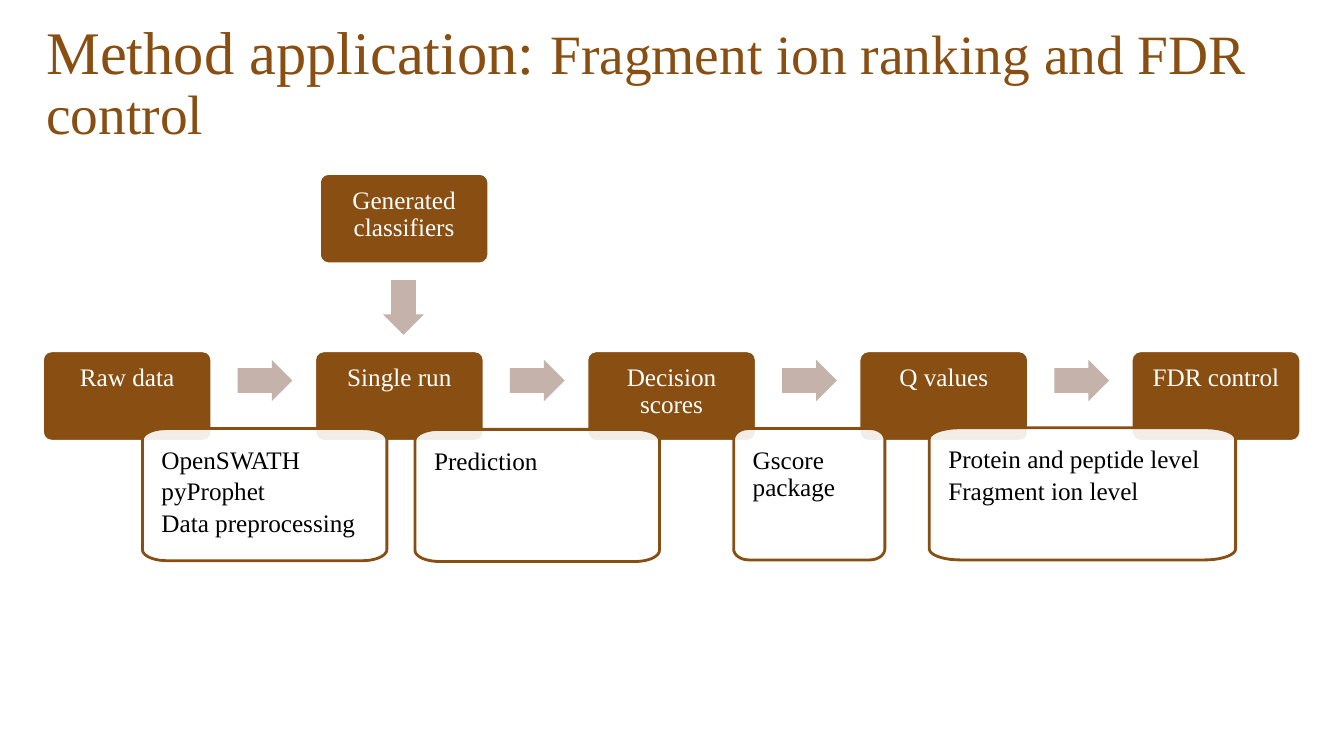
from math import cos, radians, sin

from lxml.etree import SubElement
from pptx import Presentation
from pptx.dml.color import RGBColor
from pptx.enum.shapes import MSO_SHAPE
from pptx.enum.text import MSO_ANCHOR, MSO_AUTO_SIZE, PP_ALIGN
from pptx.oxml.ns import qn
from pptx.util import Cm, Pt

COLORS = {"brown": "894E11", "arrow": "C4B2AB", "white": "FFFFFF", "black": "000000"}


class FlowSlide:
    """Holds the style and the current slide."""

    font = "Times New Roman"
    body_size = 18
    line_width = 2

    def __init__(self, presentation):
        self.slide = presentation.slides.add_slide(presentation.slide_layouts[5])

    def color(self, name):
        return RGBColor.from_string(COLORS[name])

    def format_run(self, run, size, color):
        run.font.name = self.font
        run.font.size = Pt(size)
        run.font.color.rgb = self.color(color)

    def paint(self, shape, fill, line=None):
        shape.shadow.inherit = False
        shape.fill.solid()
        shape.fill.fore_color.rgb = self.color(fill)
        if line:
            shape.line.color.rgb = self.color(line)
            shape.line.width = Pt(self.line_width)
        else:
            shape.line.fill.background()

    def set_frame(self, frame, anchor, margin, bottom):
        frame.word_wrap = True
        frame.auto_size = MSO_AUTO_SIZE.NONE
        frame.vertical_anchor = anchor
        frame.margin_left = frame.margin_right = frame.margin_top = Cm(margin)
        frame.margin_bottom = Cm(bottom)

    def label(self, shape, text, color, align, margin, bottom, space_after):
        frame = shape.text_frame
        self.set_frame(frame, MSO_ANCHOR.TOP, margin, bottom)
        frame.text = text
        for paragraph in frame.paragraphs:
            paragraph.alignment = align
            paragraph.line_spacing = 0.9
            paragraph.space_after = Pt(space_after)
            for run in paragraph.runs:
                self.format_run(run, self.body_size, color)

    def title(self, parts):
        title = self.slide.shapes.title
        title.left, title.top, title.width, title.height = Cm(1.17), Cm(0.46), Cm(31.78), Cm(3.33)
        self.set_frame(title.text_frame, MSO_ANCHOR.MIDDLE, 0, 0)
        paragraph = title.text_frame.paragraphs[0]
        paragraph.alignment = PP_ALIGN.LEFT
        paragraph.line_spacing = 0.9
        for text, size in parts:
            run = paragraph.add_run()
            run.text = text
            self.format_run(run, size, "brown")

    def step(self, left, top, text):
        shape = self.slide.shapes.add_shape(
            MSO_SHAPE.ROUNDED_RECTANGLE, Cm(left), Cm(top), Cm(4.27), Cm(2.28))
        shape.adjustments[0] = 0.1
        self.paint(shape, "brown", "white")
        self.label(shape, text, "white", PP_ALIGN.CENTER, 0.29, 0.87, 6)

    def arrow(self, kind, left, top, width, height):
        shape = self.slide.shapes.add_shape(kind, Cm(left), Cm(top), Cm(width), Cm(height))
        shape.adjustments[0] = 0.6
        shape.adjustments[1] = 0.5
        self.paint(shape, "arrow")

    def note(self, left, top, width, height, text):
        # Elliptical corners: radii follow the width and the height separately
        radius_x, radius_y = width * 0.1, height * 0.084
        corners = [
            (left + width - radius_x, top + height - radius_y, 0),
            (left + radius_x, top + height - radius_y, 90),
            (left + radius_x, top + radius_y, 180),
            (left + width - radius_x, top + radius_y, 270),
        ]
        points = [
            (Cm(x + radius_x * cos(radians(start + turn))),
             Cm(y + radius_y * sin(radians(start + turn))))
            for x, y, start in corners for turn in range(0, 91, 9)
        ]
        builder = self.slide.shapes.build_freeform(*points[0])
        builder.add_line_segments(points[1:], close=True)
        shape = builder.convert_to_shape()
        self.paint(shape, "white", "brown")
        fill_color = shape.element.spPr.find(qn("a:solidFill"))[0]
        SubElement(fill_color, qn("a:alpha"), val="90000")
        self.label(shape, text, "black", PP_ALIGN.LEFT, 0.48, 0.48, 3)


def main():
    presentation = Presentation()
    presentation.slide_width, presentation.slide_height = Cm(33.87), Cm(19.05)
    flow = FlowSlide(presentation)
    flow.title([("Method application: ", 43.2),
                ("Fragment ion ranking and FDR control", 39.6)])

    # Main row of steps with arrows between them
    steps = ["Raw data", "Single run", "Decision scores", "Q values", "FDR control"]
    first_left, pitch = 1.07, 6.86
    for index, text in enumerate(steps):
        left = first_left + index * pitch
        if index:
            flow.arrow(MSO_SHAPE.RIGHT_ARROW, left - 1.94, 9.07, 1.38, 1.04)
        flow.step(left, 8.84, text)

    # Classifiers feeding the single run
    flow.step(8.05, 4.37, "Generated classifiers")
    flow.arrow(MSO_SHAPE.DOWN_ARROW, 9.65, 7.06, 1.04, 1.38)

    # Notes overlapping the steps
    notes = [
        (18.49, 10.8, 3.81, 3.31, "Gscore package"),
        (23.42, 10.78, 7.72, 3.33, "Protein and peptide level\nFragment ion level"),
        (3.59, 10.8, 6.16, 3.33, "OpenSWATH\npyProphet\nData preprocessing"),
        (10.46, 10.82, 6.16, 3.33, "Prediction"),
    ]
    for note in notes:
        flow.note(*note)

    presentation.save("out.pptx")


if __name__ == "__main__":
    main()
